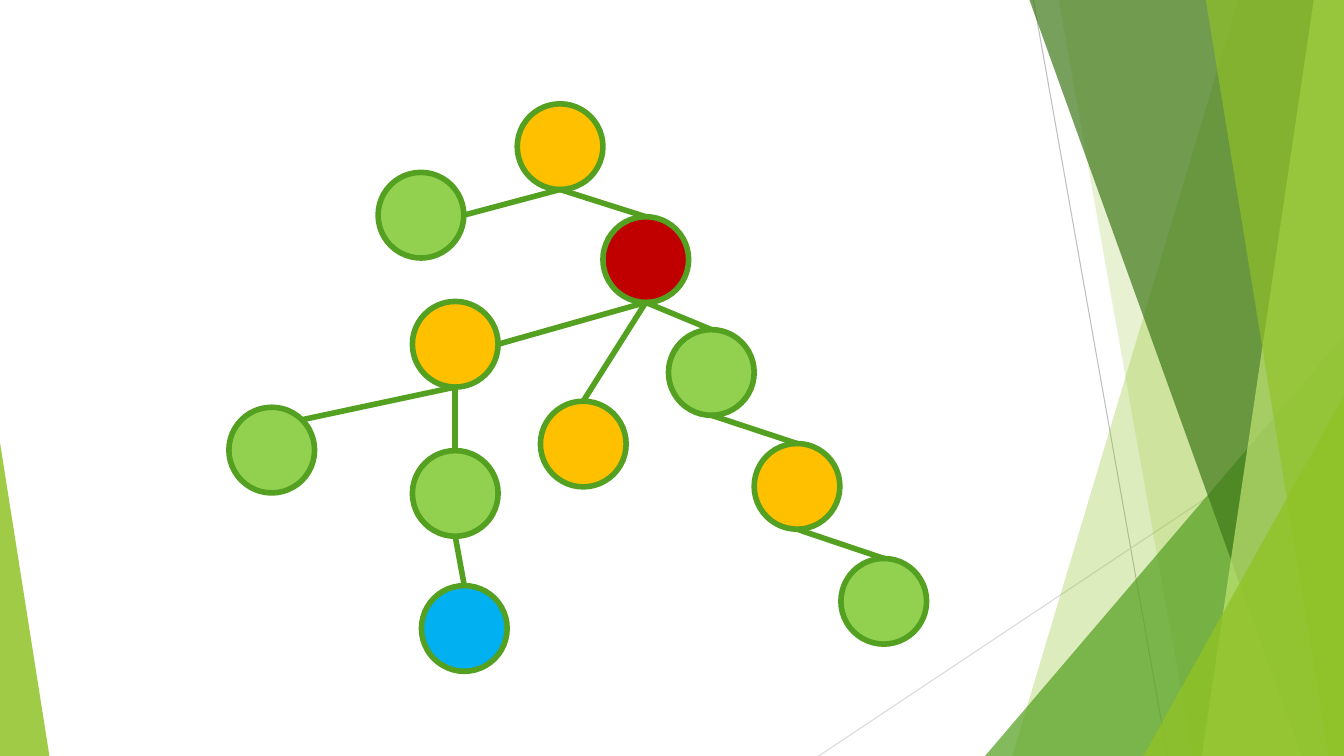
"""Builds a slide with a tree of coloured nodes beside green facets."""
from dataclasses import dataclass
from math import cos, pi, sin

from lxml import etree
from pptx import Presentation
from pptx import util as u
from pptx.dml.color import RGBColor
from pptx.enum import shapes
from pptx.oxml.ns import qn

COLUMNS, ROWS = 13.33, 7.5
NODE = 0.85
TOP, TOP_RIGHT, RIGHT, LEFT, BOTTOM = 0, 7, 6, 2, 4


@dataclass(frozen=True)
class Theme:
    """Colours and line widths of the slide."""
    lime: str = "90C226"
    pale: str = "C0E474"
    green: str = "54A021"
    forest: str = "3F7819"
    silver: str = "BFBFBF"
    mist: str = "D9D9D9"
    amber: str = "FFC000"
    red: str = "C00000"
    leaf: str = "92D050"
    blue: str = "00B0F0"
    hairline: float = 0.75
    branch: float = 4


class TreeSlide:
    """Holds the theme and the slide, and draws on a grid."""

    def __init__(self, presentation, theme):
        """Add a blank slide."""
        self.theme = theme
        self.cell = presentation.slide_height / ROWS
        self.slide = presentation.slides.add_slide(presentation.slide_layouts[6])
        self.shapes = self.slide.shapes

    def grid(self, *values):
        """Turn grid units into lengths."""
        return [u.Emu(round(value * self.cell)) for value in values]

    def format_line(self, line, color, width):
        """Give a line its colour and width."""
        line.color.rgb = RGBColor.from_string(color)
        line.width = u.Pt(width)

    def format_fill(self, shape, color, opacity=100):
        """Give a shape a flat fill without shadow."""
        shape.shadow.inherit = False
        shape.fill.solid()
        shape.fill.fore_color.rgb = RGBColor.from_string(color)
        if opacity < 100:
            tint = shape._element.spPr.find(qn("a:solidFill"))[0]
            etree.SubElement(tint, qn("a:alpha"), val=str(opacity * 1000))

    def line(self, start, end, color, width):
        """Draw a straight line."""
        connector = self.shapes.add_connector(
            shapes.MSO_CONNECTOR.STRAIGHT, *self.grid(*start, *end))
        self.format_line(connector.line, color, width)
        etree.SubElement(connector._element.spPr, qn("a:effectLst"))
        return connector

    def panel(self, top, bottom, color, opacity):
        """Draw a slanted panel that reaches the right edge."""
        corners = [(top, 0), (COLUMNS, 0), (COLUMNS, ROWS), (bottom, ROWS)]
        first, *others = [self.grid(*corner) for corner in corners]
        builder = self.shapes.build_freeform(*first)
        builder.add_line_segments(others, close=True)
        panel = builder.convert_to_shape()
        self.format_fill(panel, color, opacity)
        panel.line.fill.background()

    def wedge(self, left, width, height, apex, color, opacity):
        """Draw a triangle that stands on the bottom edge."""
        wedge = self.shapes.add_shape(
            shapes.MSO_SHAPE.ISOSCELES_TRIANGLE,
            *self.grid(left, ROWS - height, width, height))
        wedge.adjustments[0] = apex
        self.format_fill(wedge, color, opacity)
        wedge.line.fill.background()

    def node(self, left, top, color):
        """Draw a tree node."""
        node = self.shapes.add_shape(
            shapes.MSO_SHAPE.OVAL, *self.grid(left, top, NODE, NODE))
        self.format_fill(node, color)
        self.format_line(node.line, self.theme.green, self.theme.branch)
        return node

    def site(self, node, index):
        """Find one of the eight connection sites of a node."""
        angle = -pi / 2 - index * pi / 4
        middle = node.left + node.width / 2, node.top + node.height / 2
        reach = NODE / 2
        return (middle[0] / self.cell + reach * cos(angle),
                middle[1] / self.cell + reach * sin(angle))

    def branch(self, parent, child, index):
        """Join the bottom of a parent to a site of its child."""
        connector = self.line(self.site(parent, BOTTOM), self.site(child, index),
                              self.theme.green, self.theme.branch)
        links = connector._element.nvCxnSpPr.cNvCxnSpPr
        for tag, node, place in (("a:stCxn", parent, BOTTOM), ("a:endCxn", child, index)):
            etree.SubElement(links, qn(tag), id=str(node.shape_id), idx=str(place))


def main():
    """Build and save the slide."""
    presentation = Presentation()
    size = {"slide_width": u.Inches(COLUMNS), "slide_height": u.Inches(ROWS)}
    for name, value in size.items():
        setattr(presentation, name, value)
    theme = Theme()
    tree = TreeSlide(presentation, theme)

    tree.line((10.25, 0), (11.58, ROWS), theme.silver, theme.hairline)
    tree.line((COLUMNS, 4.03), (8.12, ROWS), theme.mist, theme.hairline)
    tree.panel(12.28, 10.04, theme.lime, 30)
    tree.panel(10.5, 11.83, theme.lime, 20)
    tree.wedge(9.77, 3.56, 4.17, 1, theme.green, 72)
    tree.panel(10.21, 12.91, theme.forest, 70)
    tree.panel(13.03, 11.92, theme.pale, 70)
    tree.panel(11.96, 13.18, theme.lime, 65)
    tree.wedge(11.34, 1.99, 3.57, 1, theme.lime, 80)
    tree.wedge(0, 0.49, 3.11, 0, theme.lime, 85)

    nodes = {
        "root": (5.13, 1.03, theme.amber),
        "root left": (3.75, 1.71, theme.leaf),
        "hub": (5.98, 2.15, theme.red),
        "hub left": (4.09, 2.99, theme.amber),
        "hub middle": (5.36, 3.98, theme.amber),
        "hub right": (6.63, 3.27, theme.leaf),
        "right second": (7.48, 4.4, theme.amber),
        "right third": (8.34, 5.54, theme.leaf),
        "left outer": (2.27, 4.04, theme.leaf),
        "left inner": (4.09, 4.47, theme.leaf),
        "left end": (4.18, 5.81, theme.blue),
    }
    branches = [
        ("root", "root left", RIGHT),
        ("root", "hub", TOP),
        ("hub", "hub left", RIGHT),
        ("hub", "hub middle", TOP),
        ("hub", "hub right", TOP),
        ("hub right", "right second", TOP),
        ("right second", "right third", TOP),
        ("hub left", "left outer", TOP_RIGHT),
        ("hub left", "left inner", TOP),
        ("left inner", "left end", TOP),
    ]
    drawn = {name: tree.node(*place) for name, place in nodes.items()}
    for parent, child, index in branches:
        tree.branch(drawn[parent], drawn[child], index)

    presentation.save("out.pptx")


main()
